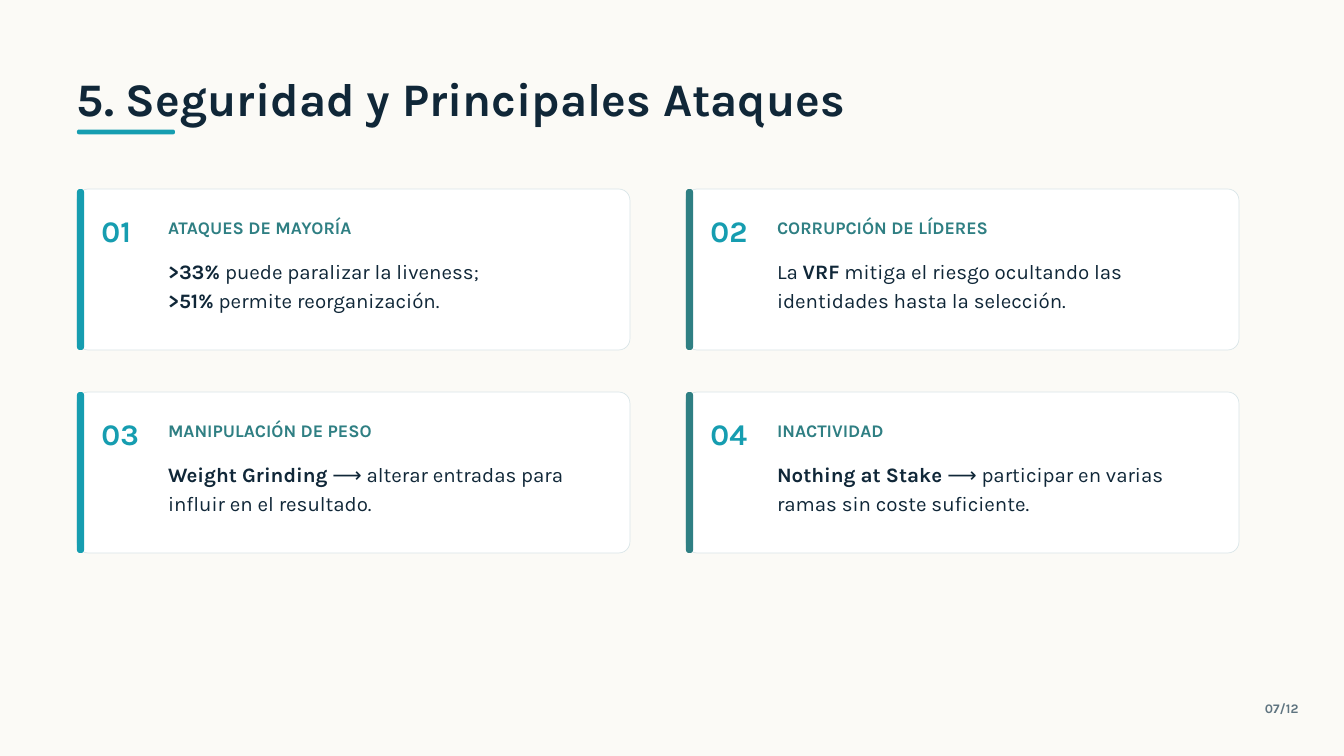
import pptx
import pptx.dml.color
import pptx.enum.shapes
import pptx.enum.text
import pptx.util

EMU_PER_PX = 9525  # 1920 x 1080 px on a 20 x 11.25 inch slide
INK, TEAL, DEEP_TEAL = "102738", "169DB0", "2F7F83"
WHITE, BORDER, GREY, CREAM = "FFFFFF", "D9E5E8", "5F7480", "FBFAF6"


def px(length):
    return pptx.util.Emu(length * EMU_PER_PX)


def color(value):
    return pptx.dml.color.RGBColor.from_string(value)


class SlideBuilder:
    font_name = "Karla"
    line_height = 1.4

    def __init__(self, slide):
        self.slide = slide

    def background(self, fill):
        self.slide.background.fill.solid()
        self.slide.background.fill.fore_color.rgb = color(fill)

    def rounded_box(self, left, top, width, height, radius, fill, line=None):
        shape = self.slide.shapes.add_shape(
            pptx.enum.shapes.MSO_SHAPE.ROUNDED_RECTANGLE,
            px(left), px(top), px(width), px(height))
        shape.adjustments[0] = radius / min(width, height)
        shape.shadow.inherit = False
        shape.fill.solid()
        shape.fill.fore_color.rgb = color(fill)
        if line:
            shape.line.color.rgb = color(line)
            shape.line.width = pptx.util.Pt(0.75)
        else:
            shape.line.fill.background()

    def text(self, left, top, width, height, lines, size, ink, align="LEFT", line_height=None):
        """Write lines of text; parts between ** marks are bold."""
        shape = self.slide.shapes.add_textbox(px(left), px(top), px(width), px(height))
        frame = shape.text_frame
        frame_format = {"word_wrap": True, "margin_left": 0, "margin_right": 0,
                        "margin_top": 0, "margin_bottom": 0}
        for name, value in frame_format.items():
            setattr(frame, name, value)
        for index, line in enumerate(lines):
            paragraph = frame.add_paragraph() if index else frame.paragraphs[0]
            paragraph.alignment = getattr(pptx.enum.text.PP_ALIGN, align)
            paragraph.line_spacing = pptx.util.Pt(size * (line_height or self.line_height))
            for part_index, part in enumerate(line.split("**")):
                if part:
                    run = paragraph.add_run()
                    run.text = part
                    run_format = {"name": self.font_name, "size": pptx.util.Pt(size),
                                  "bold": part_index % 2 == 1}
                    for name, value in run_format.items():
                        setattr(run.font, name, value)
                    run.font.color.rgb = color(ink)

    def card(self, left, top, accent, number, heading, body):
        self.rounded_box(left, top, 790, 230, 16, WHITE, BORDER)
        self.rounded_box(left, top, 10, 230, 4, accent)
        self.text(left + 35, top + 25, 70, 58, [f"**{number:02d}**"], 32, TEAL)
        self.text(left + 130, top + 34, 600, 34, [f"**{heading}**"], 19, DEEP_TEAL)
        self.text(left + 130, top + 94, 595, 80, body, 22, INK)


def main():
    presentation = pptx.Presentation()
    presentation.slide_width, presentation.slide_height = px(1920), px(1080)
    builder = SlideBuilder(presentation.slides.add_slide(presentation.slide_layouts[6]))
    builder.background(CREAM)

    # Title and underline
    builder.text(110, 87, 1700, 90, ["**5. Seguridad y Principales Ataques**"], 50, INK,
                 line_height=1.4)
    builder.rounded_box(110, 185, 140, 7, 3, TEAL)

    # Two by two grid of attacks
    attacks = [
        ("ATAQUES DE MAYORÍA",
         ["**>33%** puede paralizar la liveness;", "**>51%** permite reorganización."]),
        ("CORRUPCIÓN DE LÍDERES",
         ["La **VRF** mitiga el riesgo ocultando las identidades hasta la selección."]),
        ("MANIPULACIÓN DE PESO",
         ["**Weight Grinding** ⟶ alterar entradas para influir en el resultado."]),
        ("INACTIVIDAD",
         ["**Nothing at Stake **⟶ participar en varias ramas sin coste suficiente."]),
    ]
    for index, (heading, body) in enumerate(attacks):
        row, column = divmod(index, 2)
        accent = (TEAL, DEEP_TEAL)[column]
        builder.card(110 + 870 * column, 270 + 290 * row, accent, index + 1, heading, body)

    # Page number
    builder.text(1555, 997, 300, 25, ["**07/12**"], 14, GREY, align="RIGHT")

    presentation.save("out.pptx")


if __name__ == "__main__":
    main()
